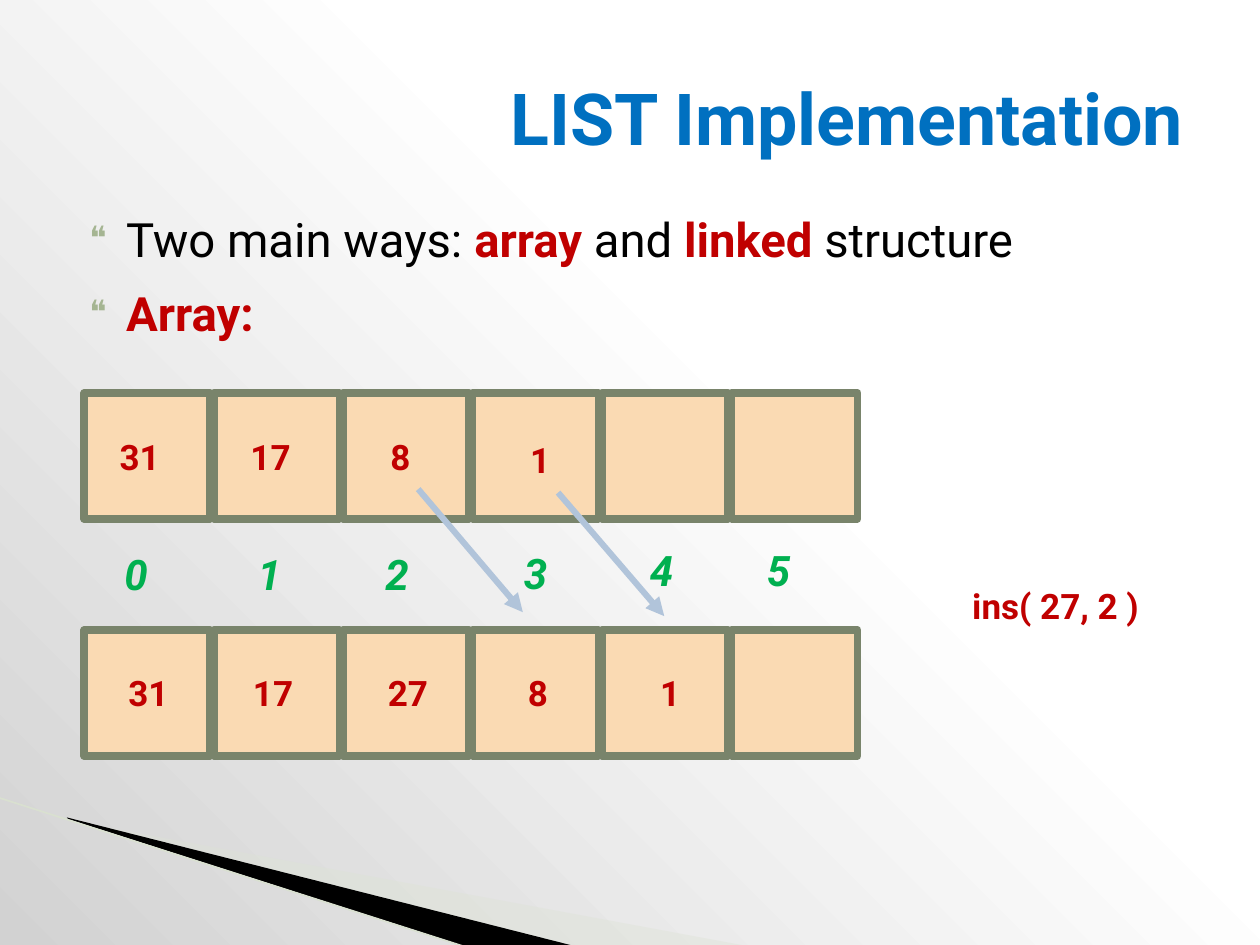
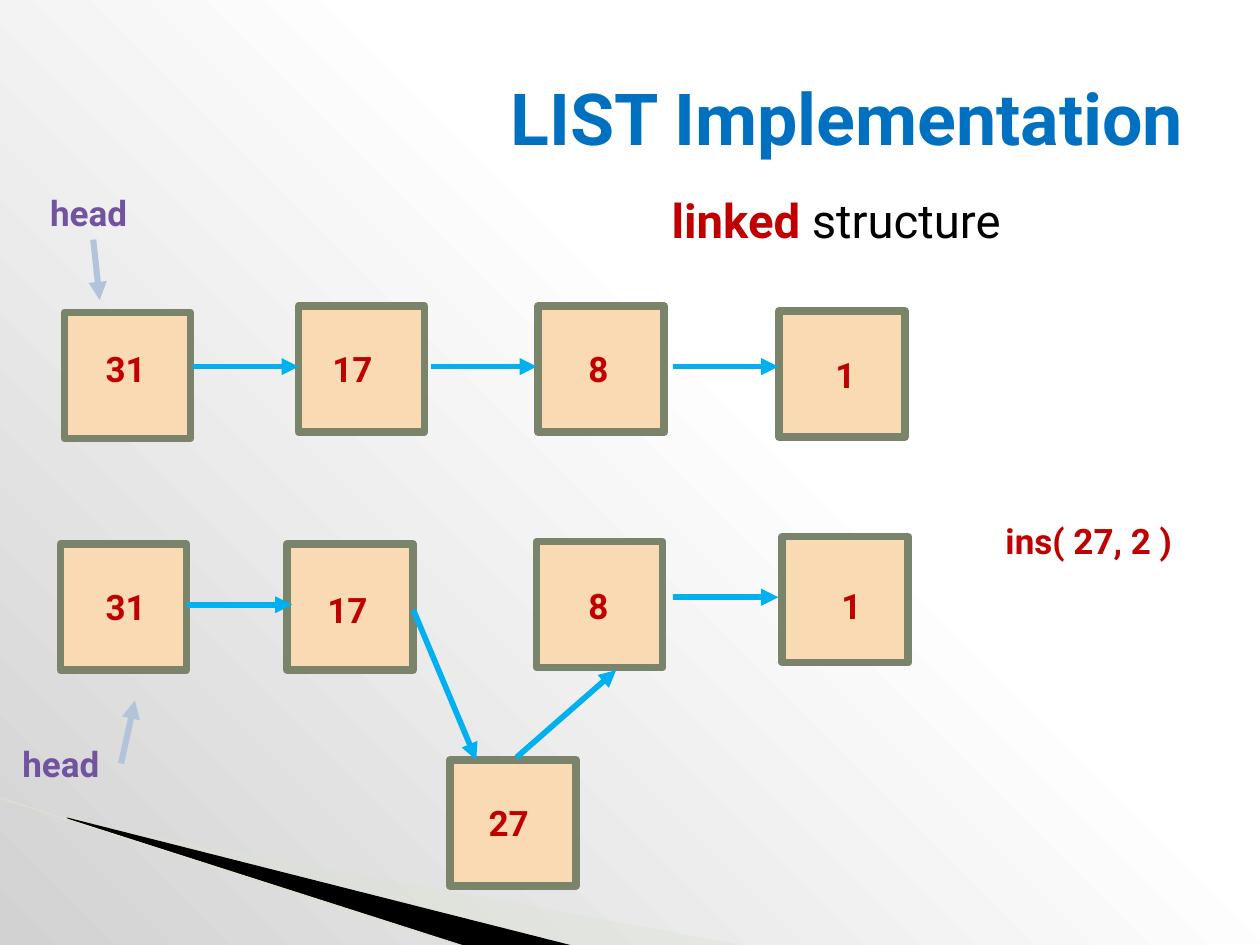
from dataclasses import dataclass

from lxml import etree
from pptx import Presentation
from pptx import oxml
from pptx import util as u
from pptx.dml.color import RGBColor
from pptx.enum import shapes as sh
from pptx.enum import text as tx
from pptx.oxml import ns
from pptx.slide import Slide

COLORS = {
    "title": "0070C0", "plain": "000000", "strong": "C00000", "index": "00B050",
    "head": "7153A0", "cell": "FADAB3", "border": "79846B", "move": "B1C4DA",
    "next": "00B0F0", "bullet": "A5B592", "wedge": "000000", "veil": "DDE3D5",
    "edge": "D9E0D0", "light": "FFFFFF", "shade": "D2D2D2",
}
FONT = "Roboto"
CELL = 2.54
TITLE_STYLE = {"size": u.Pt(41), "bold": True}
PLAIN_STYLE = {"size": u.Pt(27), "bold": False}
STRONG_STYLE = {"size": u.Pt(27), "bold": True}
VALUE_STYLE = {"size": u.Pt(20), "bold": True}
INDEX_STYLE = {"size": u.Pt(24), "bold": True, "italic": True}
MARGINS = {
    "margin_left": u.Cm(0.25), "margin_right": u.Cm(0.25),
    "margin_top": u.Cm(0.13), "margin_bottom": u.Cm(0.13),
    "word_wrap": True, "auto_size": tx.MSO_AUTO_SIZE.NONE,
}


@dataclass(frozen=True)
class Label:
    words: str
    left: float
    top: float
    width: float = 1.63
    height: float = 1.12
    color: str = "strong"


@dataclass(frozen=True)
class Node:
    left: float
    top: float
    label: Label


@dataclass(frozen=True)
class Arrow:
    x1: float
    y1: float
    x2: float
    y2: float
    color: str = "next"
    weight: float = 3.25


@dataclass(frozen=True)
class Line:
    pieces: tuple[tuple[str, str], ...]
    left: float
    hanging: float = 0
    before: float = 0
    bullet: str = ""


def rgb(name: str) -> RGBColor:
    return RGBColor.from_string(COLORS[name])


def apply(target, values: dict) -> None:
    for key, value in values.items():
        setattr(target, key, value)


def add_xml(parent, tag: str, **attributes: str):
    child = etree.SubElement(parent, ns.qn(tag))
    for key, value in attributes.items():
        child.set(key, value)
    return child


def write(paragraph, words: str, color: str, style: dict) -> None:
    run = paragraph.add_run()
    run.text = words
    apply(run.font, {"name": FONT, **style})
    run.font.color.rgb = rgb(color)


def place(holder, left: float, top: float, width: float, height: float) -> None:
    apply(holder, {"left": u.Cm(left), "top": u.Cm(top),
                   "width": u.Cm(width), "height": u.Cm(height)})
    apply(holder.text_frame, MARGINS)


def paint_background(prs) -> None:
    master = prs.slide_master
    master.background.fill.gradient()
    old = master.element.find(".//" + ns.qn("p:bg") + "//" + ns.qn("a:gradFill"))
    stops = "".join(
        f'<a:gs pos="{pos}000"><a:srgbClr val="{COLORS[name]}"/></a:gs>'
        for pos, name in ((0, "light"), (40, "light"), (100, "shade")))
    gradient = oxml.parse_xml(
        f'<a:gradFill {ns.nsdecls("a")} rotWithShape="1"><a:gsLst>{stops}</a:gsLst>'
        '<a:path path="circle"><a:fillToRect l="100000" b="100000"/></a:path>'
        '</a:gradFill>')
    old.getparent().replace(old, gradient)


def draw_line(slide: Slide, line: Arrow, pointed: bool = True):
    link = slide.shapes.add_connector(
        sh.MSO_CONNECTOR.STRAIGHT, u.Cm(line.x1), u.Cm(line.y1), u.Cm(line.x2), u.Cm(line.y2))
    link.line.color.rgb = rgb(line.color)
    link.line.width = u.Pt(line.weight)
    if pointed:
        add_xml(link.line._get_or_add_ln(), "a:tailEnd", type="triangle")
    add_xml(link._element.spPr, "a:effectLst")
    return link


def draw_wedge(slide: Slide, color: str, points: list[tuple[float, float]]):
    corners = [(u.Cm(x), u.Cm(y)) for x, y in points]
    builder = slide.shapes.build_freeform(*corners[0])
    builder.add_line_segments(corners[1:], close=True)
    wedge = builder.convert_to_shape()
    wedge.shadow.inherit = False
    wedge.fill.solid()
    wedge.fill.fore_color.rgb = rgb(color)
    wedge.line.fill.background()
    return wedge


def draw_corner(slide: Slide) -> None:
    veil = draw_wedge(slide, "veil", [(1.4, 16.54), (15.11, 19.08), (11.58, 19.08), (1.4, 16.51)])
    tint = veil._element.spPr.find(ns.qn("a:solidFill"))[0]
    add_xml(tint, "a:alpha", val="40000")
    wedge = draw_wedge(slide, "wedge", [(1.35, 16.48), (11.61, 19.08), (9.45, 19.1), (1.37, 16.51)])
    edge = draw_line(slide, Arrow(-0.03, 16.08, 9.42, 19.1, "edge", 0.95), pointed=False)
    for depth, part in enumerate((veil, wedge, edge), start=2):
        slide.shapes._spTree.insert(depth, part._element)


def fill_line(paragraph, line: Line) -> None:
    apply(paragraph, {"space_before": u.Pt(line.before), "space_after": u.Pt(0),
                      "alignment": tx.PP_ALIGN.LEFT})
    props = paragraph._p.get_or_add_pPr()
    props.set("marL", str(u.Cm(line.left)))
    props.set("indent", str(-u.Cm(line.hanging)))
    if line.bullet:
        add_xml(add_xml(props, "a:buClr"), "a:srgbClr", val=COLORS["bullet"])
        add_xml(props, "a:buSzPct", val="68000")
        add_xml(props, "a:buFont", typeface=FONT)
        add_xml(props, "a:buChar", char=line.bullet)
    else:
        add_xml(props, "a:buNone")
    for words, color in line.pieces:
        write(paragraph, words, color, STRONG_STYLE if color == "strong" else PLAIN_STYLE)


def start_slide(prs, body_box: tuple[float, float, float, float], lines: list[Line]) -> Slide:
    slide = prs.slides.add_slide(prs.slide_layouts[1])
    draw_corner(slide)
    title, body = slide.shapes.title, slide.placeholders[1]
    place(title, 1.27, 0.76, 22.86, 3.18)
    title.text_frame.vertical_anchor = tx.MSO_ANCHOR.MIDDLE
    heading = title.text_frame.paragraphs[0]
    heading.alignment = tx.PP_ALIGN.RIGHT
    write(heading, "LIST Implementation", "title", TITLE_STYLE)
    place(body, *body_box)
    frame = body.text_frame
    for number, line in enumerate(lines):
        fill_line(frame.add_paragraph() if number else frame.paragraphs[0], line)
    return slide


def draw_label(slide: Slide, label: Label, style: dict = VALUE_STYLE) -> None:
    box = slide.shapes.add_textbox(0, 0, 0, 0)
    place(box, label.left, label.top, label.width, label.height)
    write(box.text_frame.paragraphs[0], label.words, label.color, style)


def draw_cell(slide: Slide, left: float, top: float) -> None:
    cell = slide.shapes.add_shape(
        sh.MSO_SHAPE.RECTANGLE, u.Cm(left), u.Cm(top), u.Cm(CELL), u.Cm(CELL))
    cell.shadow.inherit = False
    cell.fill.solid()
    cell.fill.fore_color.rgb = rgb("cell")
    cell.line.color.rgb = rgb("border")
    cell.line.width = u.Pt(4.33)


def build_array_slide(prs) -> None:
    slide = start_slide(prs, (1.27, 4.11, 22.86, 12.57), [
        Line((("Two main ways: ", "plain"), ("array", "strong"), (" and ", "plain"),
              ("linked", "strong"), (" structure", "plain")), 1.02, 0.74, 0, "❝"),
        Line((("Array:", "strong"),), 1.02, 0.74, 10, "❝"),
    ])
    for row_top in (7.92, 12.7):
        for column in range(6):
            draw_cell(slide, 1.7 + 2.61 * column, row_top)
    before = [("31", 2.16, 8.64), ("17", 4.8, 8.64), ("8", 7.62, 8.64), ("1", 10.44, 8.71)]
    after = [("31", 2.34), ("17", 4.85), ("27", 7.57), ("8", 10.39), ("1", 13.06)]
    for value, left, top in before + [(value, left, 13.41) for value, left in after]:
        draw_label(slide, Label(value, left, top))
    index_spots = [(2.26, 10.92), (4.95, 10.92), (7.52, 10.92),
                   (10.31, 10.9), (12.85, 10.85), (15.21, 10.85)]
    for index, (left, top) in enumerate(index_spots):
        draw_label(slide, Label(str(index), left, top, 1.24, 1.27, "index"), INDEX_STYLE)
    draw_label(slide, Label("ins( 27, 2 )", 19.35, 11.66, 4.22))
    for shift in (Arrow(8.43, 9.86, 10.54, 12.34, "move", 3.5),
                  Arrow(11.25, 9.93, 13.39, 12.42, "move", 3.5)):
        draw_line(slide, shift)


def build_linked_slide(prs) -> None:
    slide = start_slide(prs, (1.37, 3.73, 22.86, 12.9), [
        Line((("linked", "strong"), (" structure", "plain")), 11.92),
    ])
    nodes = [
        Node(1.3, 6.3, Label("31", 1.88, 6.88)),
        Node(6.02, 6.17, Label("17", 6.45, 6.88)),
        Node(10.85, 6.17, Label("8", 11.61, 6.88)),
        Node(15.7, 6.27, Label("1", 16.59, 6.99)),
        Node(1.22, 10.97, Label("31", 1.88, 11.68)),
        Node(5.79, 10.97, Label("17", 6.35, 11.73)),
        Node(9.07, 15.32, Label("27", 9.6, 16.03)),
        Node(10.82, 10.92, Label("8", 11.61, 11.66)),
        Node(15.77, 10.82, Label("1", 16.71, 11.66)),
    ]
    for node in nodes:
        draw_cell(slide, node.left, node.top)
        draw_label(slide, node.label)
    draw_label(slide, Label("ins( 27, 2 )", 20.02, 10.34, 4.22))
    for left, top in ((0.76, 3.73), (0.2, 14.83)):
        draw_label(slide, Label("head", left, top, 2.51, color="head"))
    level_links = [(3.89, 7.39), (8.69, 7.39), (13.56, 7.39), (3.76, 12.19), (13.56, 12.04)]
    links = [Arrow(x, y, x + 2.13, y) for x, y in level_links] + [
        Arrow(8.33, 12.29, 9.6, 15.32),
        Arrow(10.41, 15.27, 12.42, 13.51),
        Arrow(1.88, 4.83, 2.01, 6.05, "move", 3.5),
        Arrow(2.44, 15.39, 2.72, 14.12, "move", 3.5),
    ]
    for link in links:
        draw_line(slide, link)


def main() -> None:
    prs = Presentation()
    apply(prs, {"slide_width": u.Cm(25.4), "slide_height": u.Cm(19.05)})
    paint_background(prs)
    build_array_slide(prs)
    build_linked_slide(prs)
    prs.save("out.pptx")


if __name__ == "__main__":
    main()
